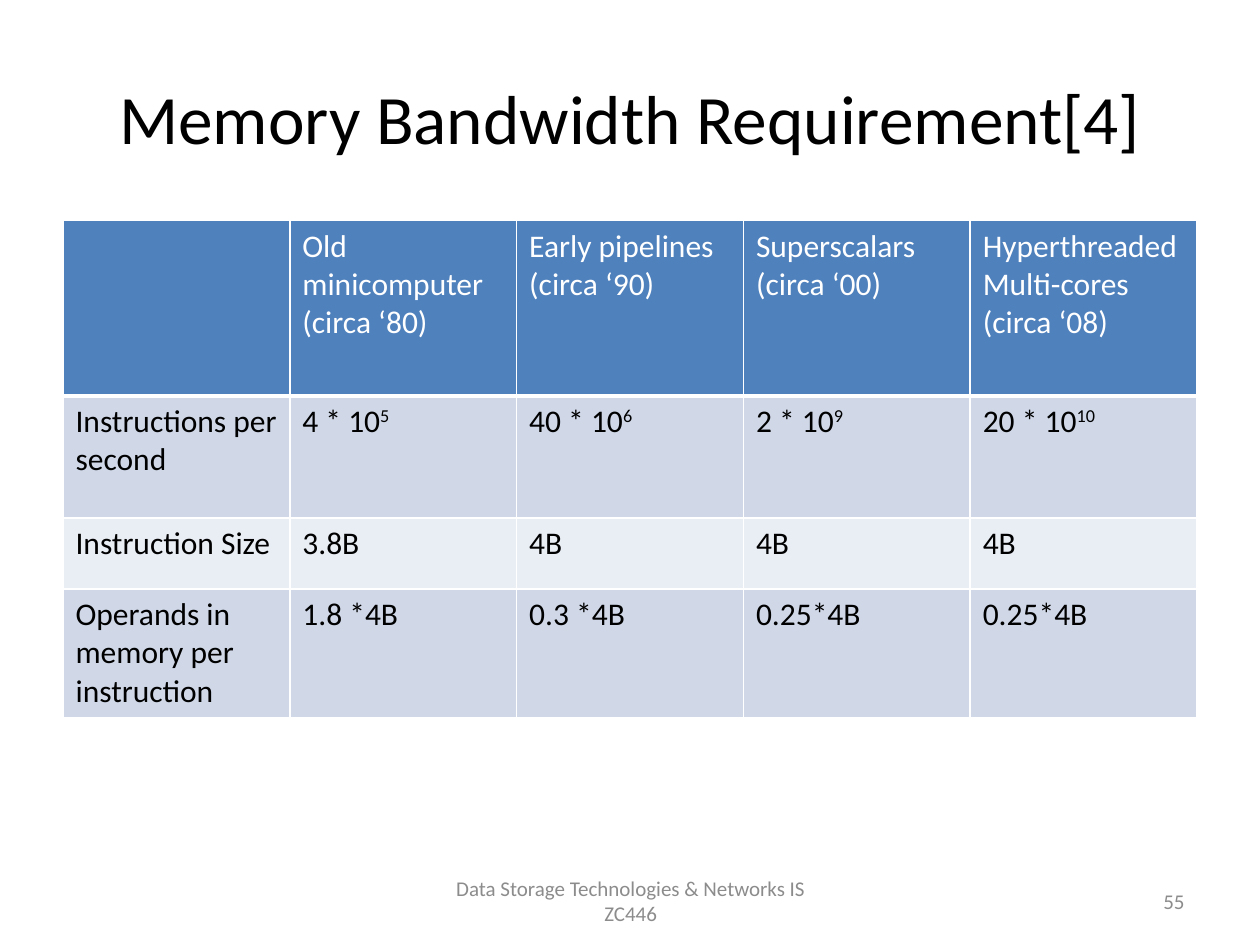
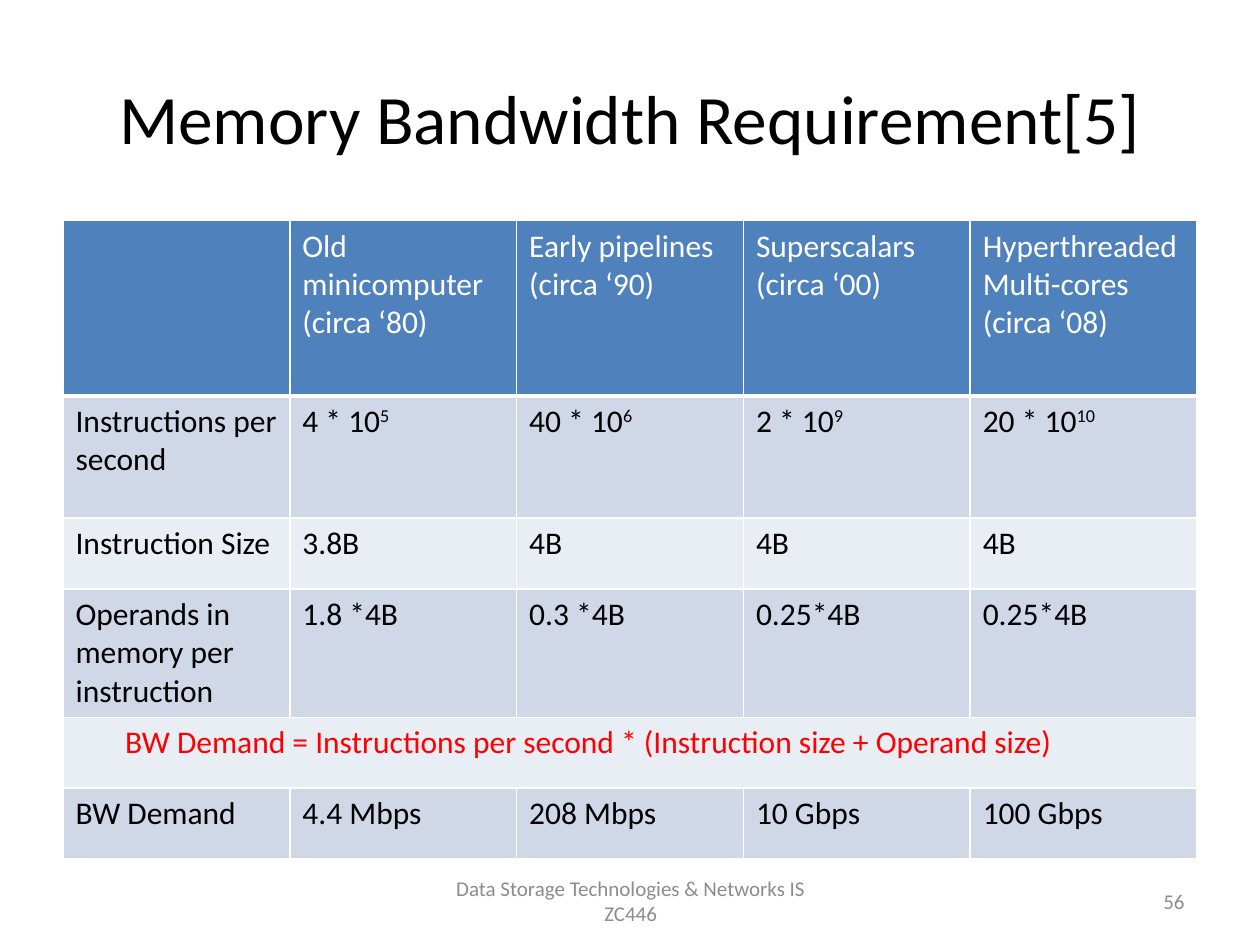
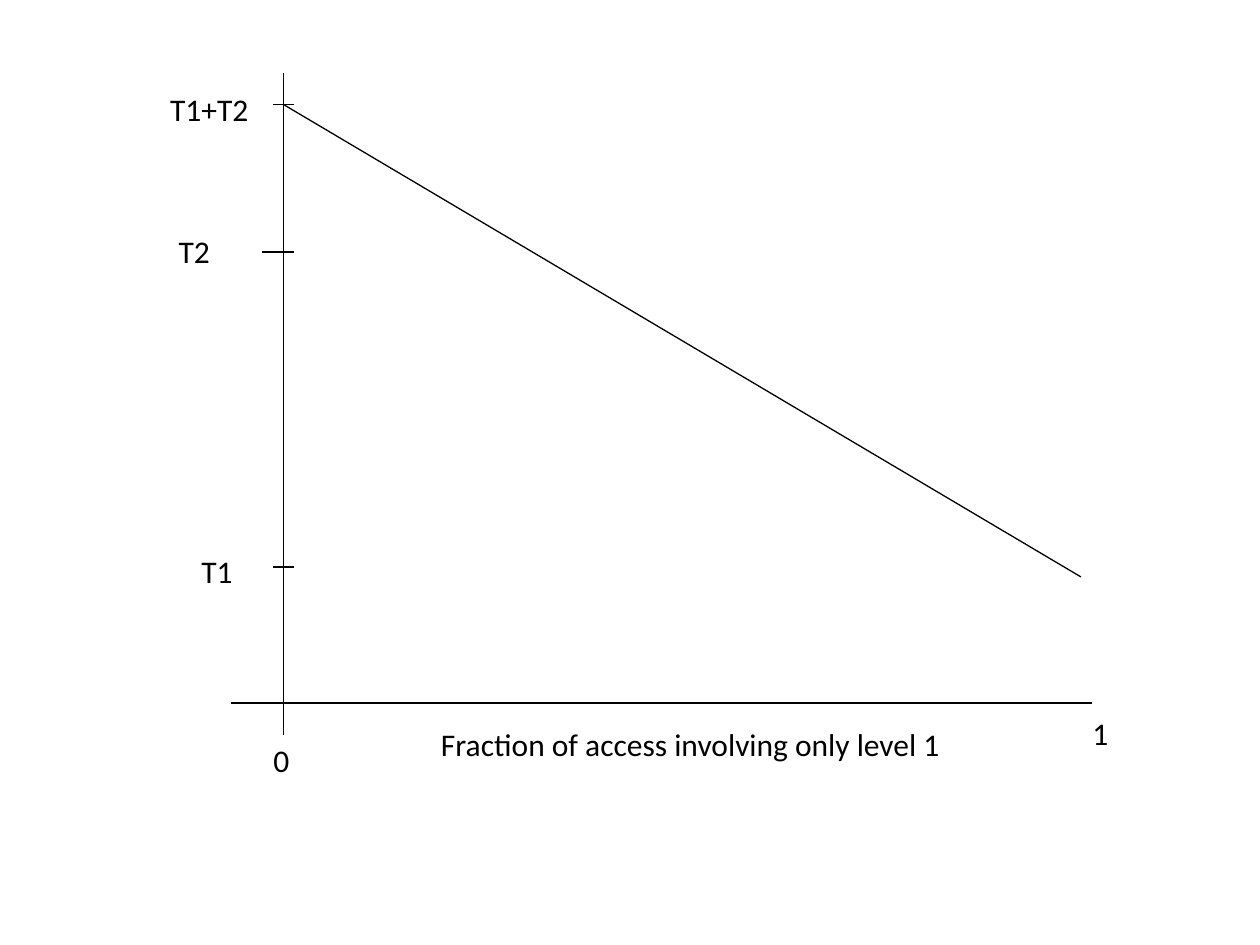
from dataclasses import dataclass

from lxml import etree
from pptx import Presentation
from pptx.dml.color import RGBColor
from pptx.enum.shapes import MSO_CONNECTOR
from pptx.enum.text import MSO_ANCHOR, PP_ALIGN
from pptx.oxml.ns import qn
from pptx.util import Cm, Pt

LEFT, CENTER, RIGHT = PP_ALIGN.LEFT, PP_ALIGN.CENTER, PP_ALIGN.RIGHT
TOP, MIDDLE = MSO_ANCHOR.TOP, MSO_ANCHOR.MIDDLE
STRAIGHT = MSO_CONNECTOR.STRAIGHT
TITLE_ONLY, BLANK = 5, 6


@dataclass(frozen=True)
class Theme:
    font: str = "Calibri"
    title_size: float = 39.6
    body_size: float = 18
    footer_size: float = 12
    line_width: float = 0.75
    black: str = "000000"
    white: str = "FFFFFF"
    grey: str = "8C8C8C"
    red: str = "FF0000"
    header: str = "4F81BD"
    bands: tuple = ("D0D8E8", "E9EDF4")


THEME = Theme()

# Boxes in cm: left, top, width, height
TITLE_BOX = (1.27, 0.76, 22.86, 3.18)
FOOTER_BOX = (8.69, 17.65, 8.05, 1.02)
NUMBER_BOX = (18.21, 17.65, 5.92, 1.02)
TABLE_BOX = (1.27, 4.45, 22.86)
GRAPH_ORIGIN = (3.18, 1.47)
FOOTER = "Data Storage Technologies & Networks IS ZC446"

# Table content: "^" marks a superscript, "\n" a new paragraph
HEADER_ROW = ["", "Old minicomputer\n(circa ‘80)", "Early pipelines\n(circa ‘90)",
              "Superscalars\n(circa ‘00)", "Hyperthreaded\nMulti-cores\n(circa ‘08)"]
REQUIREMENT_ROWS = [
    (3.53, HEADER_ROW),
    (2.46, ["Instructions per second", "4 * 10^5", "40 * 10^6", "2 * 10^9", "20 * 10^10"]),
    (1.43, ["Instruction Size", "3.8B", "4B", "4B", "4B"]),
    (2.59, ["Operands in memory per instruction", "1.8 *4B", "0.3 *4B", "0.25*4B", "0.25*4B"]),
]
DEMAND_ROWS = [
    (1.43, ["BW Demand = Instructions per second * (Instruction size + Operand size)"]),
    (1.43, ["BW Demand", "4.4 Mbps", "208 Mbps", "10 Gbps", "100 Gbps"]),
]


def format_runs(p, size, color, align=LEFT):
    p.alignment = align
    for r in p.runs:
        r.font.name, r.font.size, r.font.bold = THEME.font, Pt(size), False
        r.font.color.rgb = RGBColor.from_string(color)


def add_text(slide, box, text, size=THEME.body_size, color=THEME.black, align=LEFT, anchor=TOP):
    tf = slide.shapes.add_textbox(*map(Cm, box)).text_frame
    tf.word_wrap, tf.vertical_anchor = True, anchor
    tf.text = text
    format_runs(tf.paragraphs[0], size, color, align)


def add_line(slide, x1, y1, x2, y2):
    line = slide.shapes.add_connector(STRAIGHT, *map(Cm, (x1, y1, x2, y2)))
    line.line.width = Pt(THEME.line_width)
    line.line.color.rgb = RGBColor.from_string(THEME.black)
    etree.SubElement(line._element.spPr, qn("a:effectLst"))


def set_borders(cell, bottom):
    tcPr = cell._tc.get_or_add_tcPr()
    for side, width in (("L", 1), ("R", 1), ("T", 1), ("B", bottom)):
        ln = etree.SubElement(tcPr, qn(f"a:ln{side}"), w=str(Pt(width)))
        fill = etree.SubElement(ln, qn("a:solidFill"))
        etree.SubElement(fill, qn("a:srgbClr"), val=THEME.white)


def fill_cell(cell, text, fill, color, bottom=1):
    set_borders(cell, bottom)
    cell.fill.solid()
    cell.fill.fore_color.rgb = RGBColor.from_string(fill)
    tf = cell.text_frame
    base, _, power = text.partition("^")
    tf.text = base
    if power:
        r = tf.paragraphs[0].add_run()
        r.text = power
        r.font._element.set("baseline", "30000")
    for p in tf.paragraphs:
        format_runs(p, THEME.body_size, color)


def add_requirement_table(slide, box, rows):
    left, top, width = box
    columns = len(HEADER_ROW)
    height = sum(h for h, _ in rows)
    table = slide.shapes.add_table(len(rows), columns, *map(Cm, (left, top, width, height))).table
    for column in table.columns:
        column.width = Cm(width / columns)
    for i, (row_height, texts) in enumerate(rows):
        table.rows[i].height = Cm(row_height)
        is_formula = len(texts) == 1
        if i == 0:
            style = (THEME.header, THEME.white, 3)
        else:
            style = (THEME.bands[(i - 1) % 2], THEME.red if is_formula else THEME.black)
        for j, text in enumerate(texts):
            fill_cell(table.cell(i, j), text, *style)
        # The formula spans the whole row and is indented
        if is_formula:
            table.cell(i, 0).merge(table.cell(i, columns - 1))
            pPr = table.cell(i, 0).text_frame.paragraphs[0]._p.get_or_add_pPr()
            pPr.set("marL", str(Cm(1)))


def add_footer(slide, number):
    style = (THEME.footer_size, THEME.grey)
    add_text(slide, FOOTER_BOX, FOOTER, *style, CENTER, MIDDLE)
    add_text(slide, NUMBER_BOX, str(number), *style, RIGHT, MIDDLE)


def table_slide(prs, title, number, rows):
    slide = prs.slides.add_slide(prs.slide_layouts[TITLE_ONLY])
    sp = slide.shapes.title
    sp.left, sp.top, sp.width, sp.height = map(Cm, TITLE_BOX)
    tf = sp.text_frame
    tf.text, tf.vertical_anchor = title, MIDDLE
    format_runs(tf.paragraphs[0], THEME.title_size, THEME.black, CENTER)
    add_footer(slide, number)
    add_requirement_table(slide, TABLE_BOX, rows)


def graph_slide(prs, origin):
    slide = prs.slides.add_slide(prs.slide_layouts[BLANK])
    x0, y0 = origin
    axis_x, axis_y, tick_end = 2.54, 12.7, 2.74
    t_sum, t2, t1 = 0.64, 3.61, 9.96

    # Axes, ticks and access-time line
    lines = [
        (axis_x, 0, axis_x, 13.34),
        (1.47, axis_y, 18.84, axis_y),
        (2.33, t1, tick_end, t1),
        (2.1, t2, tick_end, t2),
        (2.33, t_sum, tick_end, t_sum),
        (axis_x, t_sum, 18.61, 10.16),
    ]
    for x1, y1, x2, y2 in lines:
        add_line(slide, x0 + x1, y0 + y1, x0 + x2, y0 + y2)

    # Labels: text, left, top, width
    labels = [
        ("0", 2.08, 13.34, 1.09),
        ("Fraction of access involving only level 1", 5.46, 13.03, 11.66),
        ("1", 18.59, 12.8, 0.86),
        ("T1", 0.63, 9.53, 1.7),
        ("T2", 0.17, 3.08, 1.24),
        ("T1+T2", 0, 0.23, 2.36),
    ]
    for text, x, y, width in labels:
        add_text(slide, (x0 + x, y0 + y, width, 1.02), text)


def main():
    prs = Presentation()
    prs.slide_width, prs.slide_height = Cm(25.4), Cm(19.05)
    table_slide(prs, "Memory Bandwidth Requirement[4]", 55, REQUIREMENT_ROWS)
    table_slide(prs, "Memory Bandwidth Requirement[5]", 56, REQUIREMENT_ROWS + DEMAND_ROWS)
    graph_slide(prs, GRAPH_ORIGIN)
    prs.save("out.pptx")


if __name__ == "__main__":
    main()
